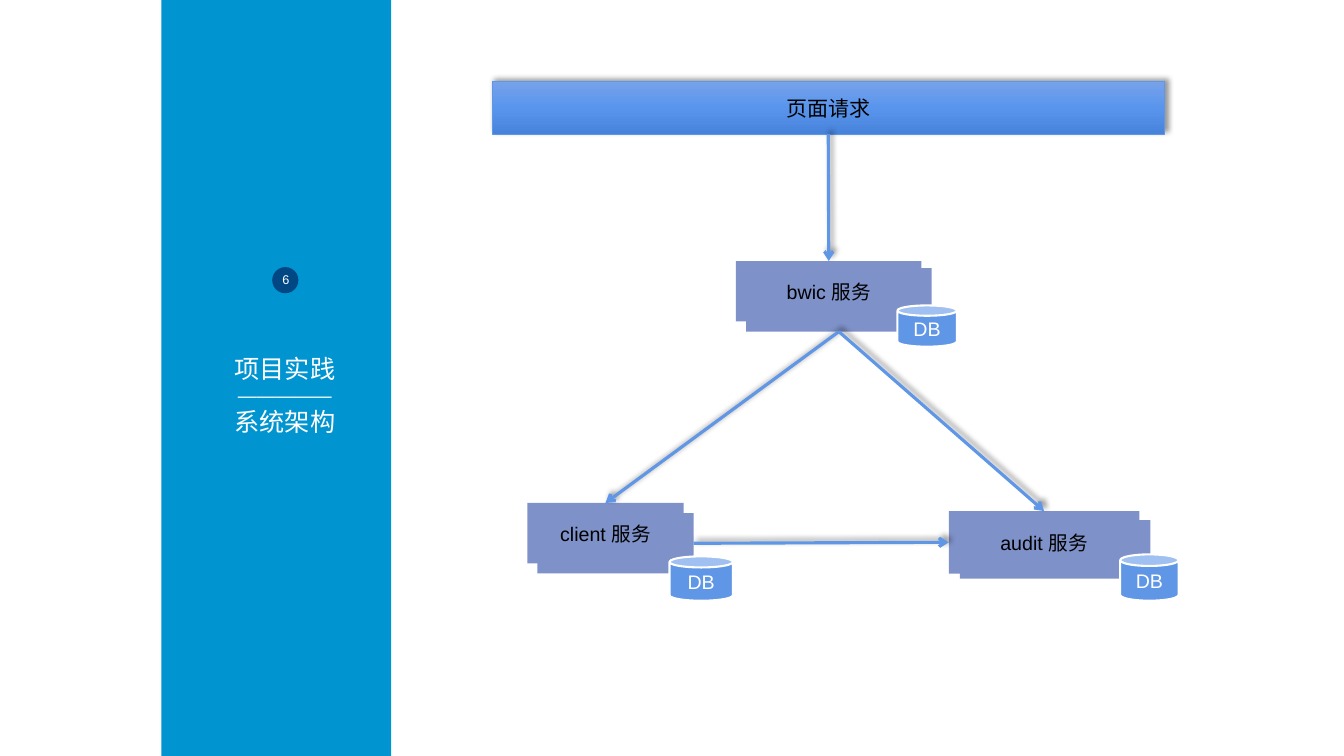
from copy import deepcopy
from dataclasses import dataclass
from typing import NamedTuple

from lxml import etree
from pptx import Presentation
from pptx import util as u
from pptx.dml.color import RGBColor
from pptx.enum import shapes, text
from pptx.oxml.ns import qn

WHITE = RGBColor(0xFF, 0xFF, 0xFF)
BLACK = RGBColor(0x00, 0x00, 0x00)
SIDEBAR_BLUE = RGBColor(0x00, 0x94, 0xD1)
BADGE_NAVY = RGBColor(0x00, 0x47, 0x84)
SERVICE_BLUE = RGBColor(0x7E, 0x91, 0xC8)
ACCENT_BLUE = RGBColor(0x60, 0x96, 0xE6)
REQUEST_GRADIENT = [
    (0, RGBColor(0x76, 0xA2, 0xEA)),
    (0.5, RGBColor(0x59, 0x95, 0xED)),
    (1, RGBColor(0x47, 0x83, 0xDA)),
]
FONT = "Arial"
RECT = shapes.MSO_SHAPE.RECTANGLE
TOP, LEFT, BOTTOM, RIGHT = range(4)


class Area(NamedTuple):
    left: float
    top: float
    width: float
    height: float

    def inches(self) -> list:
        return [u.Inches(length) for length in self]


class Line(NamedTuple):
    words: str
    size: float


@dataclass
class Service:
    label: str
    front: Area
    back: Area
    database: Area


SERVICES = [
    Service("bwic 服务", Area(7.3, 2.59, 1.84, 0.6),
            Area(7.4, 2.66, 1.84, 0.63), Area(8.9, 3.03, 0.59, 0.41)),
    Service("client 服务", Area(5.23, 4.99, 1.55, 0.6),
            Area(5.33, 5.09, 1.55, 0.6), Area(6.64, 5.52, 0.63, 0.44)),
    Service("audit 服务", Area(9.41, 5.07, 1.89, 0.62),
            Area(9.52, 5.16, 1.89, 0.58), Area(11.11, 5.5, 0.58, 0.46)),
]


def write(box, lines: list[Line], color: RGBColor) -> None:
    """Fill a box with centred lines, anchored in the middle."""
    frame = box.text_frame
    frame.vertical_anchor = text.MSO_ANCHOR.MIDDLE
    for index, line in enumerate(lines):
        para = frame.add_paragraph() if index else frame.paragraphs[0]
        para.alignment = text.PP_ALIGN.CENTER
        span = para.add_run()
        span.text = line.words
        span.font.name = FONT
        span.font.size = u.Pt(line.size)
        span.font.color.rgb = color


def add_block(page, kind, area: Area, fill: RGBColor):
    """Add a flat filled shape without outline or shadow."""
    block = page.shapes.add_shape(kind, *area.inches())
    block.shadow.inherit = False
    block.fill.solid()
    block.fill.fore_color.rgb = fill
    block.line.fill.background()
    return block


def add_label(page, area: Area, lines: list[Line], margin: float):
    label = page.shapes.add_textbox(*area.inches())
    frame = label.text_frame
    frame.word_wrap = True
    frame.margin_left = frame.margin_right = u.Inches(margin)
    write(label, lines, WHITE)


def outline(line, color: RGBColor, width: float) -> None:
    line.color.rgb = color
    line.width = u.Pt(width)


def cast_shadow(item) -> None:
    """Add a soft shadow toward the upper right."""
    properties = item._element.spPr
    effects = properties.find(qn("a:effectLst"))
    if effects is None:
        effects = etree.SubElement(properties, qn("a:effectLst"))
    shadow = etree.SubElement(
        effects, qn("a:outerShdw"), blurRad=str(u.Pt(4)), dist=str(u.Pt(3)),
        dir=str(315 * 60000), rotWithShape="0")
    color = etree.SubElement(shadow, qn("a:srgbClr"), val=str(BLACK))
    etree.SubElement(color, qn("a:alpha"), val="40000")


def add_request_bar(page):
    bar = add_block(page, RECT, Area(4.88, 0.81, 6.67, 0.52), ACCENT_BLUE)
    bar.fill.gradient()
    bar.fill.gradient_angle = 270
    stop_list = bar._element.spPr.find(".//" + qn("a:gsLst"))
    stop_list.insert(1, deepcopy(stop_list[0]))
    for stop, (position, color) in zip(bar.fill.gradient_stops, REQUEST_GRADIENT):
        stop.position = position
        stop.color.rgb = color
    outline(bar.line, ACCENT_BLUE, 0.5)
    cast_shadow(bar)
    write(bar, [Line("页面请求", 15)], BLACK)
    return bar


def add_service(page, service: Service) -> tuple:
    """Draw the stacked boxes and database; return the front and back boxes."""
    back = add_block(page, RECT, service.back, SERVICE_BLUE)
    front = add_block(page, RECT, service.front, SERVICE_BLUE)
    write(front, [Line(service.label, 14)], BLACK)
    database = add_block(page, shapes.MSO_SHAPE.CAN, service.database, ACCENT_BLUE)
    outline(database.line, WHITE, 1.5)
    write(database, [Line("DB", 14)], WHITE)
    return front, back


def add_arrow(page, source, source_side: int, target, target_side: int) -> None:
    arrow = page.shapes.add_connector(shapes.MSO_CONNECTOR.STRAIGHT, 0, 0, 0, 0)
    arrow.begin_connect(source, source_side)
    arrow.end_connect(target, target_side)
    outline(arrow.line, ACCENT_BLUE, 2.25)
    etree.SubElement(arrow.line._get_or_add_ln(), qn("a:tailEnd"), type="arrow")
    cast_shadow(arrow)


def add_sidebar(page) -> None:
    add_block(page, RECT, Area(1.6, 0, 2.28, 7.5), SIDEBAR_BLUE)
    heading = [Line("项目实践", 18), Line("—————", 13.5), Line("系统架构", 18)]
    add_label(page, Area(1.87, 3.45, 1.91, 0.93), heading, 0.1)
    add_block(page, shapes.MSO_SHAPE.OVAL, Area(2.7, 2.65, 0.26, 0.26), BADGE_NAVY)
    add_label(page, Area(2.75, 2.65, 0.17, 0.25), [Line("6", 9)], 0)


def main() -> None:
    deck = Presentation()
    deck.slide_width = u.Inches(13.33)
    deck.slide_height = u.Inches(7.5)
    page = deck.slides.add_slide(deck.slide_layouts[6])

    add_sidebar(page)
    request = add_request_bar(page)
    bwic, client, audit = [add_service(page, service) for service in SERVICES]
    bwic_front, bwic_back = bwic
    client_front, client_back = client
    audit_front, _ = audit

    add_arrow(page, request, BOTTOM, bwic_front, TOP)
    add_arrow(page, bwic_back, BOTTOM, client_front, TOP)
    add_arrow(page, bwic_back, BOTTOM, audit_front, TOP)
    add_arrow(page, client_back, RIGHT, audit_front, LEFT)
    deck.save("out.pptx")


if __name__ == "__main__":
    main()
